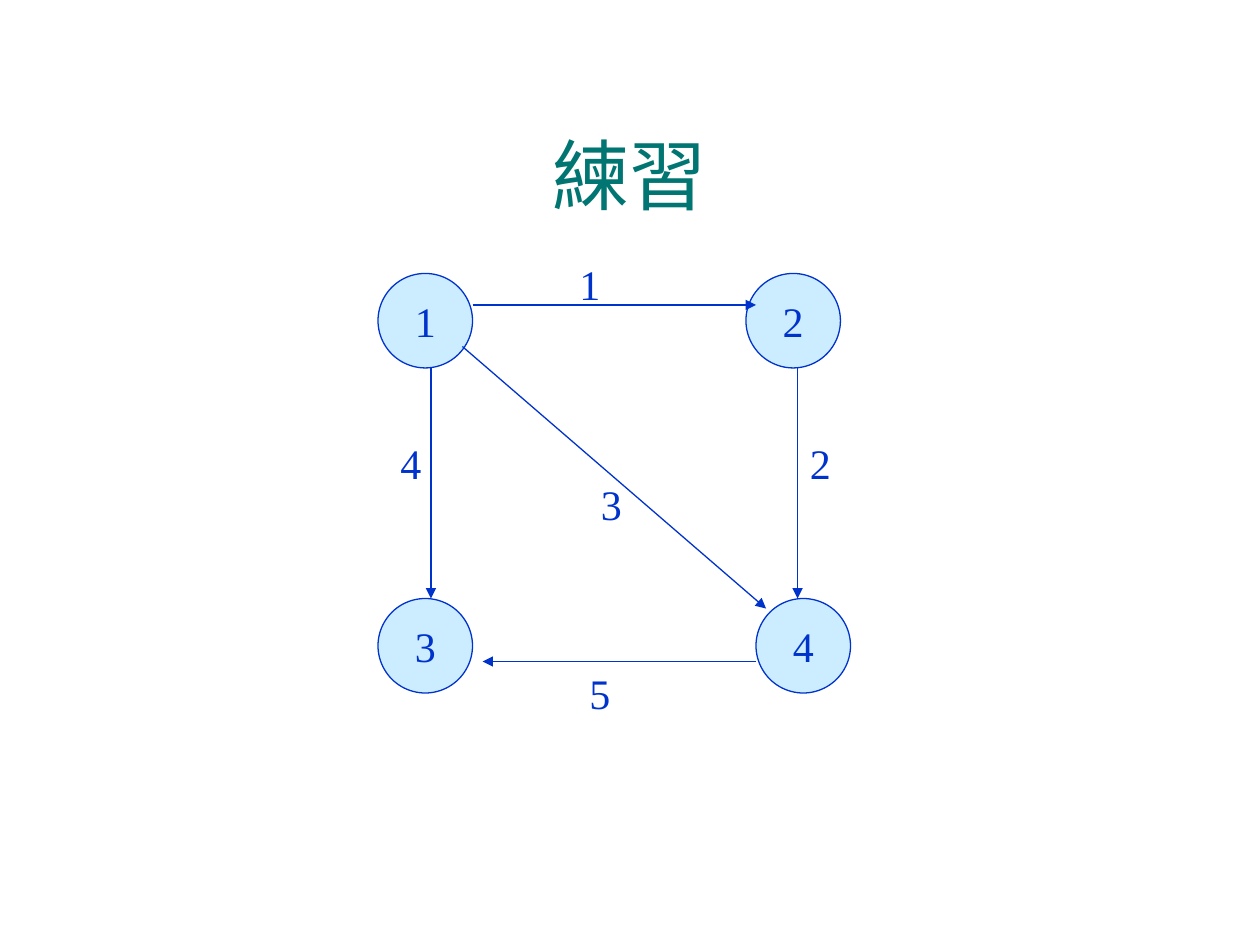
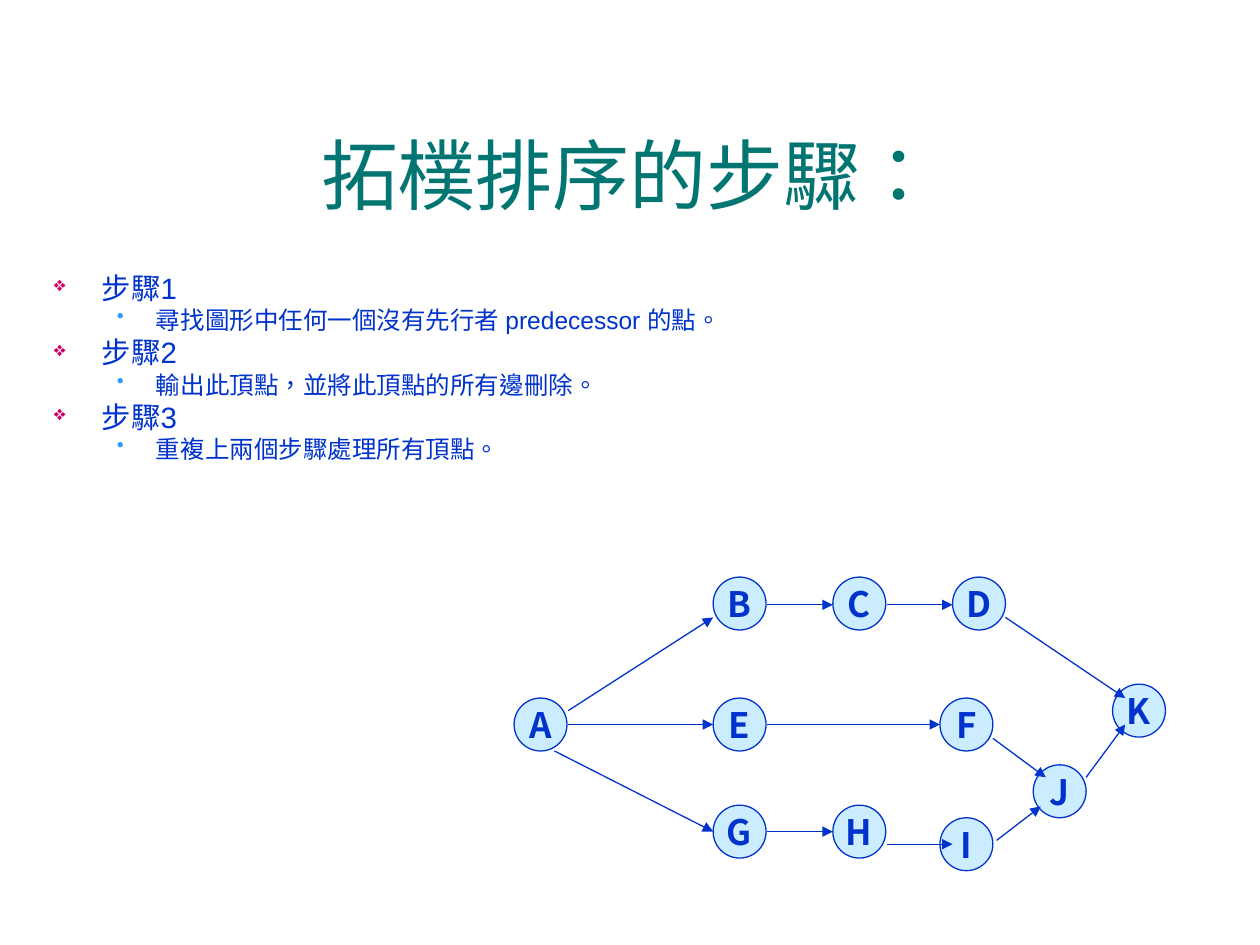
"""Build two slides on graphs: a weighted exercise and the steps of topological sorting."""
import pptx
import pptx.util
import pptx.dml.color
import pptx.enum.lang
import pptx.enum.shapes
import pptx.enum.text
import pptx.oxml
import pptx.oxml.ns
import lxml.etree

PX = 9144
COLORS = {"title": "007572", "ink": "0033CC", "node": "CCECFF",
          "diamond": "CC0066", "dot": "3399FF"}
ALIGN = pptx.enum.text.PP_ALIGN
ANCHOR = pptx.enum.text.MSO_ANCHOR
qn = pptx.oxml.ns.qn


def rgb(name):
    return pptx.dml.color.RGBColor.from_string(COLORS[name])


def add_run(p, text, size, font, color="ink", bold=False):
    r = p.add_run()
    r.text = text
    r.font.size = pptx.util.Pt(size)
    r.font.name = font
    r.font.bold = bold
    r.font.color.rgb = rgb(color)
    r.font.language_id = pptx.enum.lang.MSO_LANGUAGE_ID.TRADITIONAL_CHINESE


steps = [
    ("步驟1", "尋找圖形中任何一個沒有先行者 predecessor 的點。"),
    ("步驟2", "輸出此頂點，並將此頂點的所有邊刪除。"),
    ("步驟3", "重複上兩個步驟處理所有頂點。"),
]
levels = [
    {"size": 16.8, "before": 6, "left": 38, "hang": 38, "char": "❖", "color": "diamond", "pct": 70},
    {"size": 14, "before": 5, "left": 81, "hang": 31, "char": "•", "color": "dot", "pct": 85},
]
slides = [
    {
        "title": "練習", "steps": [],
        "diameter": 75, "font": "Times New Roman", "size": 24, "bold": False,
        "nodes": {"1": (300, 217), "2": (592, 217), "3": (300, 475), "4": (600, 475)},
        "edges": [(375, 242, 600, 242), (342, 292, 342, 475), (367, 275, 608, 483),
                  (600, 525, 383, 525), (633, 292, 633, 475)],
        "weights": [("1", 450, 200), ("4", 308, 342), ("3", 467, 375),
                    ("5", 458, 525), ("2", 633, 342)],
    },
    {
        "title": "拓樸排序的步驟：", "steps": steps,
        "diameter": 42, "font": "Noto Sans CJK SC", "size": 20, "bold": True,
        "nodes": {"A": (408, 554), "B": (566, 458), "C": (661, 458), "D": (756, 458),
                  "E": (566, 554), "F": (746, 554), "G": (566, 639), "H": (661, 639),
                  "I": (746, 649), "J": (820, 607), "K": (883, 543)},
        "edges": [(451, 564, 566, 490), (451, 575, 566, 575), (440, 596, 566, 660),
                  (609, 480, 661, 480), (704, 480, 756, 480), (798, 490, 893, 554),
                  (609, 575, 746, 575), (788, 586, 830, 617), (609, 660, 661, 660),
                  (704, 670, 756, 670), (791, 667, 826, 640), (862, 617, 893, 575)],
        "weights": [],
    },
]

prs = pptx.Presentation()
prs.slide_width = 1000 * PX
prs.slide_height = 750 * PX

for d in slides:
    s = prs.slides.add_slide(prs.slide_layouts[6])

    tf = s.shapes.add_textbox(33 * PX, 75 * PX, 934 * PX, 125 * PX).text_frame
    tf.word_wrap = True
    tf.vertical_anchor = ANCHOR.MIDDLE
    p = tf.paragraphs[0]
    p.alignment = ALIGN.CENTER
    add_run(p, d["title"], 44, "Arial", "title")

    if d["steps"]:
        tf = s.shapes.add_textbox(33 * PX, 217 * PX, 934 * PX, 157 * PX).text_frame
        tf.word_wrap = True
        lines = [(i, text) for step in d["steps"] for i, text in enumerate(step)]
        for n, (i, text) in enumerate(lines):
            lv = levels[i]
            p = tf.add_paragraph() if n else tf.paragraphs[0]
            pPr = p._p.get_or_add_pPr()
            pPr.set("marL", str(lv["left"] * PX))
            pPr.set("indent", str(-lv["hang"] * PX))
            clr = lxml.etree.SubElement(pPr, qn("a:buClr"))
            lxml.etree.SubElement(clr, qn("a:srgbClr")).set("val", COLORS[lv["color"]])
            lxml.etree.SubElement(pPr, qn("a:buSzPct")).set("val", str(lv["pct"] * 1000))
            lxml.etree.SubElement(pPr, qn("a:buChar")).set("char", lv["char"])
            p.level = i
            p.line_spacing = 0.7
            if n:
                p.space_before = pptx.util.Pt(lv["before"])
            add_run(p, text, lv["size"], "Arial")

    for name, (x, y) in d["nodes"].items():
        sp = s.shapes.add_shape(pptx.enum.shapes.MSO_SHAPE.OVAL, x * PX, y * PX,
                                d["diameter"] * PX, d["diameter"] * PX)
        sp.shadow.inherit = False
        sp.fill.solid()
        sp.fill.fore_color.rgb = rgb("node")
        sp.line.color.rgb = rgb("ink")
        sp.line.width = pptx.util.Pt(0.75)
        tf = sp.text_frame
        tf.word_wrap = False
        tf.vertical_anchor = ANCHOR.MIDDLE
        p = tf.paragraphs[0]
        p.alignment = ALIGN.CENTER
        add_run(p, name, d["size"], d["font"], bold=d["bold"])

    for edge in d["edges"]:
        cx = s.shapes.add_connector(pptx.enum.shapes.MSO_CONNECTOR.STRAIGHT,
                                    *[v * PX for v in edge])
        cx.line.color.rgb = rgb("ink")
        cx.line.width = pptx.util.Pt(0.75)
        lxml.etree.SubElement(cx.line._get_or_add_ln(), qn("a:tailEnd")).set("type", "triangle")
        lxml.etree.SubElement(cx._element.spPr, qn("a:effectLst"))

    for weight, x, y in d["weights"]:
        tf = s.shapes.add_textbox(x * PX, y * PX, 33 * PX, 50 * PX).text_frame
        tf.word_wrap = True
        add_run(tf.paragraphs[0], weight, d["size"], d["font"])

prs.save("out.pptx")
